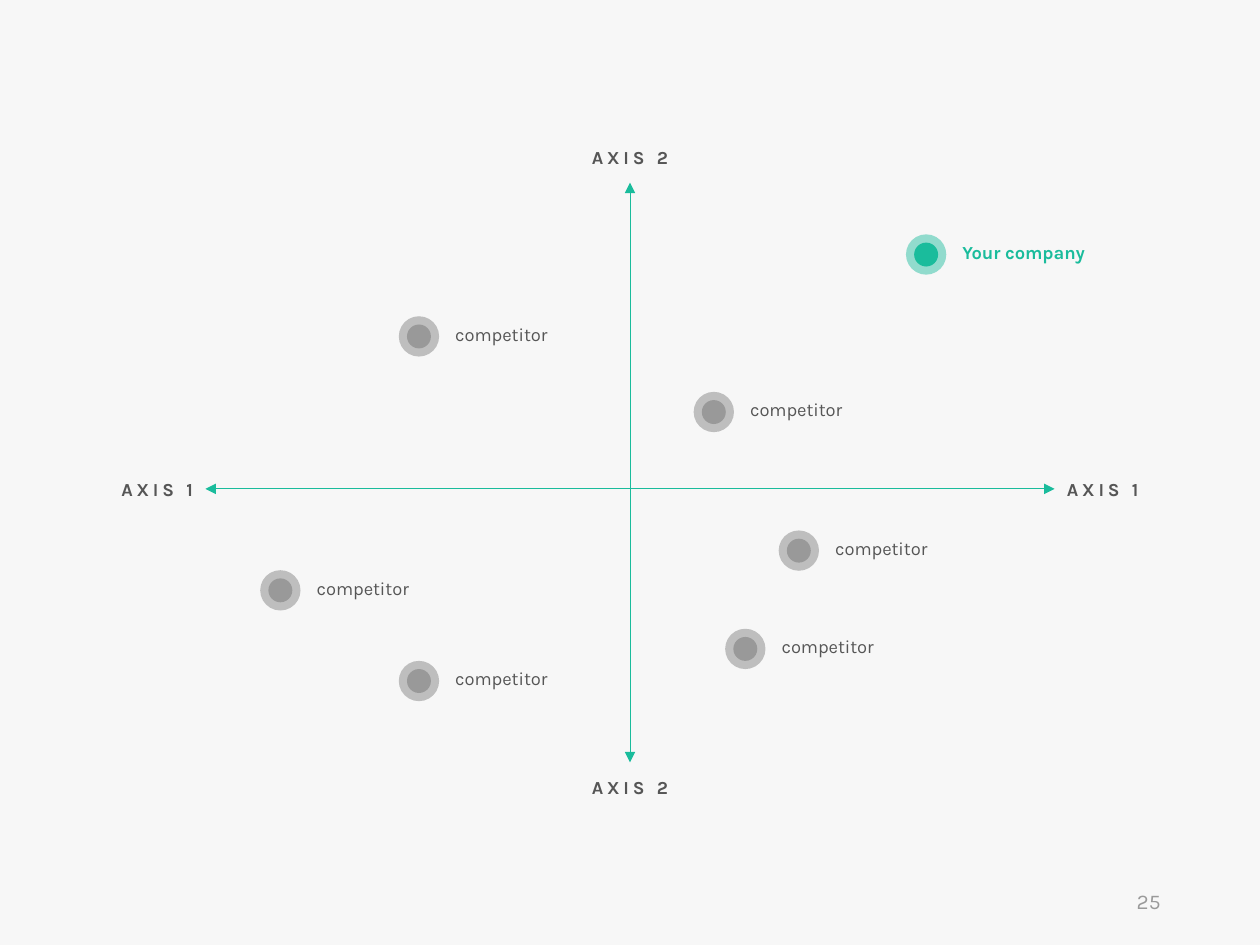
from pptx import Presentation
from pptx.dml.color import RGBColor
from pptx.enum.shapes import MSO_CONNECTOR, MSO_SHAPE
from pptx.enum.text import MSO_ANCHOR, MSO_AUTO_SIZE, PP_ALIGN
from pptx.oxml.ns import qn
from pptx.util import Inches, Pt
from lxml.etree import SubElement

COLORS = {"background": "F7F7F7", "accent": "1ABC9C", "text": "565656", "number": "9A9A9A"}
COLUMNS, ROWS = 100, 75
LABEL_WIDTH, LABEL_HEIGHT = 14, 2.8
RING, CORE = 3.2, 1.9  # marker diameters
AXIS_TEXT = {"bold": True, "spacing": 2.2}

# Marker centres in columns and rows
COMPETITORS = [(56.65, 32.7), (63.4, 43.7), (59.15, 51.5),
               (22.25, 46.85), (33.25, 54.05), (33.25, 26.7)]
COMPANY = (73.5, 20.2)


class PositioningSlide:
    font_name = "Karla"

    def __init__(self, deck):
        self.deck = deck
        self.page = deck.slides.add_slide(deck.slide_layouts[6])
        fill = self.page.background.fill
        fill.solid()
        fill.fore_color.rgb = self.color("background")

    def color(self, name):
        return RGBColor.from_string(COLORS[name])

    def place(self, column, row):
        return (int(self.deck.slide_width * column / COLUMNS),
                int(self.deck.slide_height * row / ROWS))

    def label(self, text, left, top, width=LABEL_WIDTH, height=LABEL_HEIGHT, *,
              align=PP_ALIGN.LEFT, color="text", size=10.5, bold=False,
              spacing=0, grow=True, parent=None):
        shapes = (parent or self.page).shapes
        box = shapes.add_textbox(*self.place(left, top), *self.place(width, height))
        frame_format = {
            "word_wrap": True,
            "vertical_anchor": MSO_ANCHOR.MIDDLE,
            "auto_size": MSO_AUTO_SIZE.SHAPE_TO_FIT_TEXT if grow else MSO_AUTO_SIZE.NONE,
        }
        for name, value in frame_format.items():
            setattr(box.text_frame, name, value)
        para = box.text_frame.paragraphs[0]
        para.alignment = align
        span = para.add_run()
        span.text = text
        for name, value in {"name": self.font_name, "size": Pt(size), "bold": bold}.items():
            setattr(span.font, name, value)
        span.font.color.rgb = self.color(color)
        if spacing:
            span.font._element.set("spc", str(round(spacing * 100)))
        return box

    def circle(self, group, column, row, diameter, color, opacity):
        corner = self.place(column - diameter / 2, row - diameter / 2)
        dot = group.shapes.add_shape(MSO_SHAPE.OVAL, *corner, *self.place(diameter, diameter))
        dot.shadow.inherit = False
        dot.line.fill.background()
        dot.fill.solid()
        dot.fill.fore_color.rgb = self.color(color)
        if opacity < 100:
            tint = dot._element.spPr.find(".//" + qn("a:srgbClr"))
            SubElement(tint, qn("a:alpha"), val=str(opacity * 1000))

    def marker(self, text, column, row, color="text", opacities=(35, 35), bold=False):
        group = self.page.shapes.add_group_shape()
        for diameter, opacity in zip((RING, CORE), opacities):
            self.circle(group, column, row, diameter, color, opacity)
        self.label(text, column + 1.9, row - 1.6, color=color, bold=bold, parent=group)

    def axis(self, start, end):
        arrow = self.page.shapes.add_connector(
            MSO_CONNECTOR.STRAIGHT, *self.place(*start), *self.place(*end))
        arrow.line.width = Pt(0.5)
        arrow.line.color.rgb = self.color("accent")
        for tag in ("a:headEnd", "a:tailEnd"):
            SubElement(arrow.line._get_or_add_ln(), qn(tag), type="triangle")
        SubElement(arrow._element.spPr, qn("a:effectLst"))
        return arrow


def main():
    deck = Presentation()
    deck.slide_width, deck.slide_height = Inches(10), Inches(7.5)
    slide = PositioningSlide(deck)

    # Axes with their end labels
    center = COLUMNS / 2
    for top in (11.1, 61.1):
        slide.label("AXIS 2", center - LABEL_WIDTH / 2, top, align=PP_ALIGN.CENTER, **AXIS_TEXT)
    left_label = slide.label("AXIS 1", 2.3, 37.4, align=PP_ALIGN.RIGHT, **AXIS_TEXT)
    right_label = slide.label("AXIS 1", 83.7, 37.4, **AXIS_TEXT)
    slide.axis((center, 14.5), (center, 60.5))
    horizontal = slide.axis((16.3, 38.8), (83.7, 38.8))
    horizontal.begin_connect(left_label, 3)
    horizontal.end_connect(right_label, 1)

    # Companies on the map
    slide.marker("Your company", *COMPANY, color="accent", opacities=(46, 100), bold=True)
    for column, row in COMPETITORS:
        slide.marker("competitor", column, row)

    # Page number
    slide.label("25", 70.6, 69.5, 22.5, 4, align=PP_ALIGN.RIGHT,
                color="number", size=12, grow=False)

    deck.save("out.pptx")


if __name__ == "__main__":
    main()
